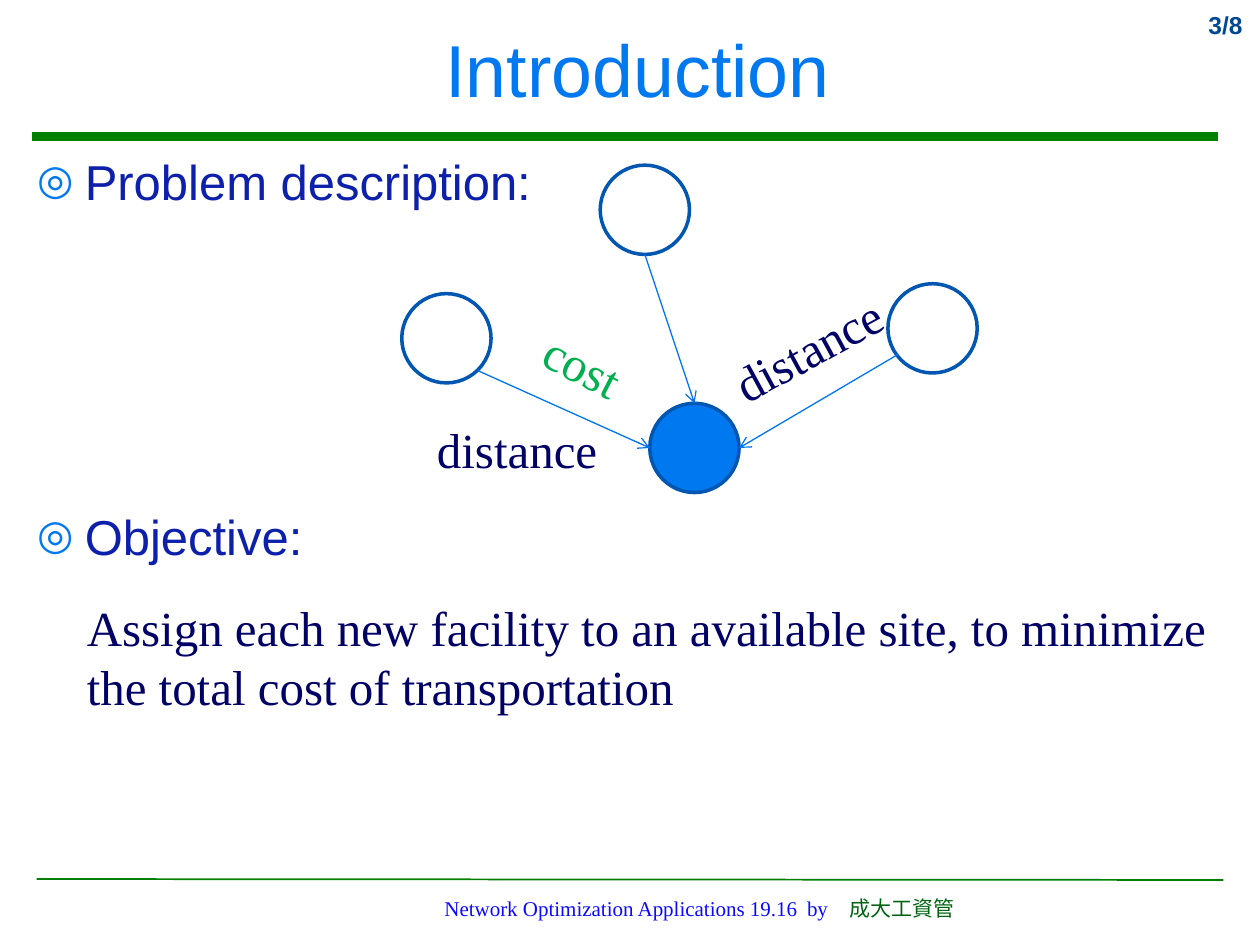
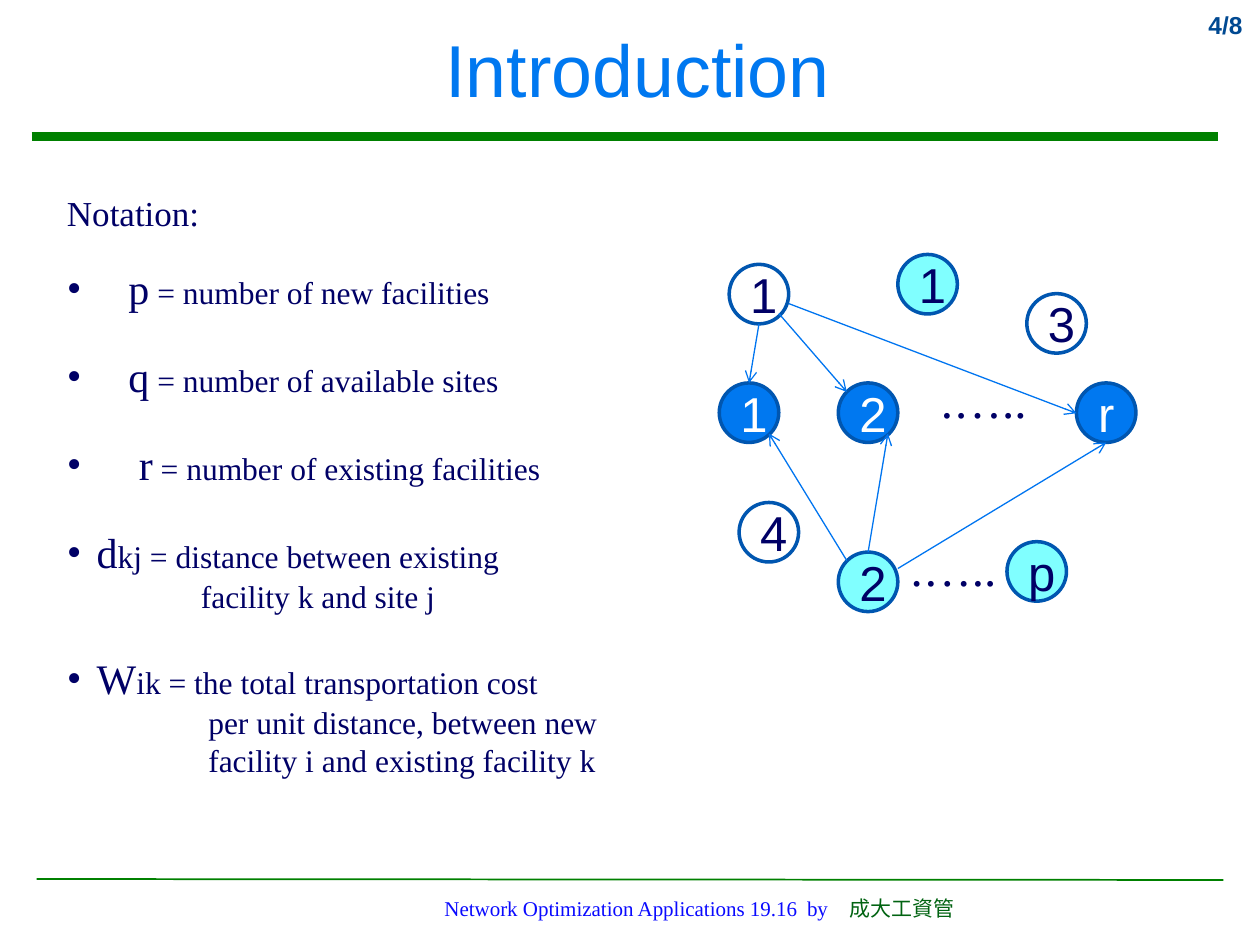
from lxml import etree
from pptx import Presentation
from pptx import util as u
from pptx.dml.color import RGBColor
from pptx.enum import shapes, text
from pptx.oxml.ns import qn

SANS, SERIF = "Arial", "Times New Roman"
BLUE, NAVY, RIM, ARROW = "0078F0", "000066", "0056B0", "0075F0"
GREEN, WHITE, AQUA = "008000", "FFFFFF", "80FFFF"
CENTER = text.PP_ALIGN.CENTER
MIDDLE = text.MSO_ANCHOR.MIDDLE
DOTS = ".….."


def rgb(code):
    return RGBColor.from_string(code)


# Text helpers
def add_run(p, words, size, color, name=SERIF, bold=False):
    r = p.add_run()
    r.text = words
    for key, value in {"size": u.Pt(size), "name": name, "bold": bold}.items():
        setattr(r.font, key, value)
    r.font.color.rgb = rgb(color)


def add_box(s, left, top, width, height, wrap=True, anchor=text.MSO_ANCHOR.TOP):
    sp = s.shapes.add_textbox(u.Cm(left), u.Cm(top), u.Cm(width), u.Cm(height))
    tf = sp.text_frame
    tf.word_wrap, tf.vertical_anchor = wrap, anchor
    return sp


def add_label(s, words, place, size, color, name=SERIF, align=None,
              bold=False, rotation=0, **frame):
    sp = add_box(s, *place, **frame)
    sp.rotation = rotation
    p = sp.text_frame.paragraphs[0]
    p.alignment = align
    add_run(p, words, size, color, name, bold)


def next_paragraph(tf, before=0):
    """Use the empty first paragraph, then add more."""
    if not tf.paragraphs[0].runs:
        return tf.paragraphs[0]
    p = tf.add_paragraph()
    p.space_before = u.Pt(before)
    return p


def set_indent(p, left, hanging=0):
    pPr = p._p.get_or_add_pPr()
    pPr.set("marL", str(u.Cm(left)))
    pPr.set("indent", str(-u.Cm(hanging)))
    return pPr


def set_bullet(p, mark, color, indent, percent=100):
    pPr = set_indent(p, indent, indent)
    clr = etree.SubElement(pPr, qn("a:buClr"))
    etree.SubElement(clr, qn("a:srgbClr"), val=color)
    etree.SubElement(pPr, qn("a:buSzPct"), val=str(percent * 1000))
    etree.SubElement(pPr, qn("a:buFont"), typeface=SERIF)
    etree.SubElement(pPr, qn("a:buChar"), char=mark)


def set_tabs(p, *stops):
    tabs = etree.SubElement(p._p.get_or_add_pPr(), qn("a:tabLst"))
    for stop in stops:
        etree.SubElement(tabs, qn("a:tab"), pos=str(u.Cm(stop)), algn="l")


# Drawing helpers
def add_line(s, x1, y1, x2, y2, color=ARROW, width=0.75, arrow=False):
    line = s.shapes.add_connector(shapes.MSO_CONNECTOR.STRAIGHT,
                                  u.Cm(x1), u.Cm(y1), u.Cm(x2), u.Cm(y2))
    line.line.color.rgb = rgb(color)
    line.line.width = u.Pt(width)
    if arrow:
        etree.SubElement(line.line._get_or_add_ln(), qn("a:tailEnd"), type="arrow")
    etree.SubElement(line._element.spPr, qn("a:effectLst"))


def add_node(s, left, top, size, fill=None, name="", color=NAVY):
    sp = s.shapes.add_shape(shapes.MSO_SHAPE.OVAL, u.Cm(left), u.Cm(top),
                            u.Cm(size), u.Cm(size))
    sp.shadow.inherit = False
    if fill:
        sp.fill.solid()
        sp.fill.fore_color.rgb = rgb(fill)
    else:
        sp.fill.background()
    sp.line.color.rgb = rgb(RIM)
    sp.line.width = u.Pt(2)
    if name:
        sp.text_frame.vertical_anchor = MIDDLE
        p = sp.text_frame.paragraphs[0]
        p.alignment = CENTER
        add_run(p, name, 28, color, SANS)


# Title, rules, page number and footer of every slide
def add_page(prs, title, number):
    s = prs.slides.add_slide(prs.slide_layouts[6])
    add_line(s, 0.64, 2.75, 24.56, 2.75, GREEN, 5.25)
    add_line(s, 0.74, 17.72, 24.66, 17.74, GREEN, 1)
    add_label(s, number, (22.99, 0.08, 2.31, 1.45), 14, "004992", SANS,
              text.PP_ALIGN.RIGHT, bold=True)
    add_label(s, title, (0.41, 0.03, 24.89, 2.69), 42, BLUE, SANS, CENTER,
              anchor=MIDDLE)
    p = add_box(s, 8.71, 17.93, 16.23, 1.02).text_frame.paragraphs[0]
    set_tabs(p, 7.31, 8.17)
    add_run(p, "Network Optimization Applications 19.16\tby\t", 12, "0A0AFF")
    add_run(p, "成大工資管", 12, "016311")
    return s


# Slide 1: problem and objective
def add_problem(prs):
    s = add_page(prs, "Introduction", "3/8")
    tf = add_box(s, 0.5, 2.92, 24.38, 14.6).text_frame
    for heading in ("Problem description:", "Objective:"):
        p = next_paragraph(tf, before=169.5)
        set_bullet(p, "◎", BLUE, 0.96, 85)
        add_run(p, heading, 28, "0D20AB", SANS)

    for left, top, fill in ((8.1, 5.92, None), (13.1, 8.13, BLUE),
                            (17.9, 5.72, None), (12.1, 3.33, None)):
        add_node(s, left, top, 1.8, fill)
    for ends in ((9.63, 7.47, 13.1, 9.03), (13, 5.13, 14, 8.13),
                 (18.11, 7.14, 14.9, 9.03)):
        add_line(s, *ends, arrow=True)
    # Centred in boxes wide enough to hold each word on one line
    for words, place, color, angle in (
            ("distance", (8.16, 8.33, 4.53, 1.45), NAVY, 0),
            ("distance", (14.03, 6.32, 4.53, 1.45), NAVY, 331.5),
            ("cost", (10.32, 6.65, 2.88, 1.45), "00B050", 27.4)):
        add_label(s, words, place, 28, color, align=CENTER, rotation=angle)
    add_label(s, "Assign each new facility to an available site, to minimize "
              "the total cost of transportation", (1.5, 11.92, 23.22, 2.64), 28, NAVY)


# Slide 2: notation and network
def add_notation(prs):
    s = add_page(prs, "Introduction", "4/8")
    tf = add_box(s, 1.1, 3.73, 11.6, 13.82).text_frame
    add_run(next_paragraph(tf), "Notation:", 20, NAVY)
    # symbol, meaning, text indent, further lines, their indent, space before
    for symbol, meaning, indent, more, more_indent, before in (
            ("p", " = number of new facilities", 1.24, (), 0, 17),
            ("q", " = number of available sites", 1.24, (), 0, 21.5),
            ("r", " = number of existing facilities", 1.45, (), 0, 21.5),
            ("d", "kj = distance between existing", 0.6,
             ("facility k and site j",), 2.7, 21.5),
            ("W", "ik = the total transportation cost", 0.6,
             ("per unit distance, between new",
              "facility i and existing facility k"), 2.85, 21.5)):
        p = next_paragraph(tf, before)
        set_bullet(p, "•", NAVY, indent)
        add_run(p, symbol, 24, NAVY)
        add_run(p, meaning, 18, NAVY)
        for words in more:
            p = next_paragraph(tf)
            set_indent(p, more_indent)
            add_run(p, words, 18, NAVY)

    existing = ((14.5, 7.72, "1"), (16.9, 7.72, "2"), (21.7, 7.72, "r"))
    sites = ((14.9, 10.13, "4"), (14.7, 5.33, "1"), (20.7, 5.92, "3"))
    new = ((18.1, 5.13, "1"), (16.9, 11.13, "2"), (20.3, 10.92, "p"))
    for group, fill, color in ((existing, BLUE, WHITE), (sites, None, NAVY),
                               (new, AQUA, NAVY)):
        for left, top, name in group:
            add_node(s, left, top, 1.2, fill, name, color)
    for left, top in ((18.72, 7.32), (18.11, 10.72)):
        add_label(s, DOTS, (left, top, 2.24, 1.45), 28, NAVY, wrap=False)
    for ends in ((15.3, 6.53, 15.1, 7.72), (15.7, 6.32, 17.07, 7.9),
                 (15.9, 6.12, 21.7, 8.33), (17.07, 11.3, 15.5, 8.74),
                 (17.5, 11.13, 17.9, 8.74), (18.1, 11.46, 22.3, 8.92)):
        add_line(s, *ends, arrow=True)


def main():
    prs = Presentation()
    prs.slide_width, prs.slide_height = u.Cm(25.4), u.Cm(19.05)
    add_problem(prs)
    add_notation(prs)
    prs.save("out.pptx")


if __name__ == "__main__":
    main()
